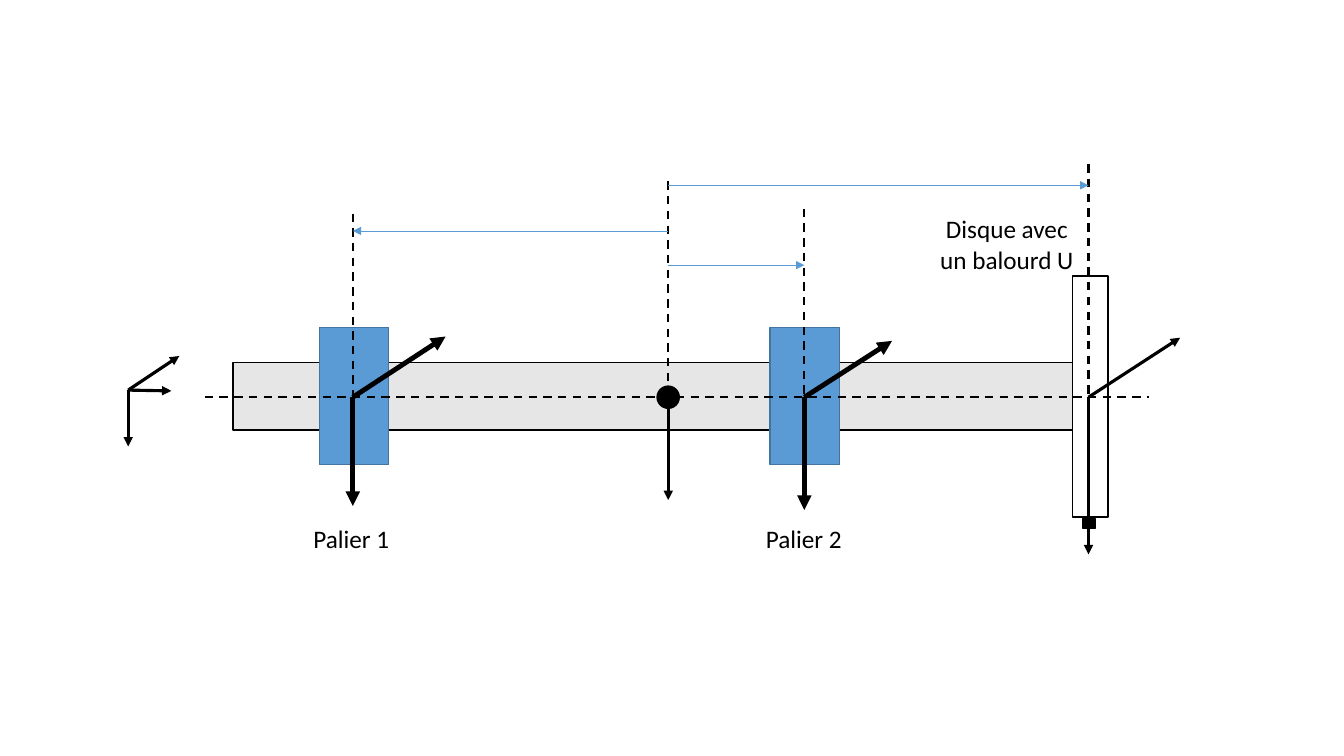
from dataclasses import dataclass

from lxml import etree
from pptx import Presentation
from pptx.dml.color import RGBColor
from pptx.enum import dml, shapes, text
from pptx.oxml.ns import qn
from pptx.util import Cm, Pt


@dataclass(frozen=True)
class Theme:
    black: str = "000000"
    white: str = "FFFFFF"
    shaft: str = "E7E6E6"
    blue: str = "5B9BD5"
    blue_edge: str = "43739E"
    font: str = "Calibri"
    size: float = 18
    outline: float = 1
    dimension: float = 0.5
    guide: float = 1.5
    arrow: float = 2.25
    force: float = 3.5


class Diagram:
    """Draws the elements of a rotor diagram, with lengths in centimetres."""

    def __init__(self, slide, theme):
        self.s = slide
        self.t = theme

    def shape(self, x, y, w, h, fill, edge=None, kind=shapes.MSO_SHAPE.RECTANGLE):
        sp = self.s.shapes.add_shape(kind, Cm(x), Cm(y), Cm(w), Cm(h))
        sp.shadow.inherit = False
        sp.fill.solid()
        sp.fill.fore_color.rgb = RGBColor.from_string(fill)
        sp.line.color.rgb = RGBColor.from_string(edge or self.t.black)
        sp.line.width = Pt(self.t.outline)

    def line(self, start, end, width, color=None):
        cx = self.s.shapes.add_connector(
            shapes.MSO_CONNECTOR.STRAIGHT, *map(Cm, (*start, *end)))
        cx.line.color.rgb = RGBColor.from_string(color or self.t.black)
        cx.line.width = Pt(width)
        etree.SubElement(cx._element.spPr, qn("a:effectLst"))
        return cx

    def arrow(self, start, end, width, color=None):
        cx = self.line(start, end, width, color)
        etree.SubElement(cx.line._get_or_add_ln(), qn("a:tailEnd"), type="triangle")

    def guide(self, start, end):
        self.line(start, end, self.t.guide).line.dash_style = dml.MSO_LINE.DASH

    def label(self, x, y, w, h, words, wrap=False):
        tf = self.s.shapes.add_textbox(Cm(x), Cm(y), Cm(w), Cm(h)).text_frame
        tf.word_wrap = wrap
        tf.auto_size = text.MSO_AUTO_SIZE.SHAPE_TO_FIT_TEXT
        p = tf.paragraphs[0]
        p.text = words
        p.alignment = text.PP_ALIGN.CENTER if wrap else text.PP_ALIGN.LEFT
        p.font.name = self.t.font
        p.font.size = Pt(self.t.size)
        p.font.color.rgb = RGBColor.from_string(self.t.black)


def main():
    prs = Presentation()
    prs.slide_width, prs.slide_height = Cm(33.87), Cm(19.05)
    t = Theme()
    d = Diagram(prs.slides.add_slide(prs.slide_layouts[6]), t)

    axis_y, guide_end = 10.01, 12.75
    bearing_1, centre, bearing_2, disc = 8.89, 16.84, 20.27, 27.43

    origin = (3.23, 9.83)
    for tip in ((4.32, 9.85), (3.23, 11.25), (4.52, 8.97)):
        d.arrow(origin, tip, t.arrow)

    d.shape(5.87, 9.14, 22.02, 1.7, t.shaft)
    for left in (8.05, 19.41):
        d.shape(left, 8.26, 1.75, 3.45, t.blue, t.blue_edge)
    d.shape(27.03, 6.96, 0.89, 6.07, t.white)
    d.shape(27.28, 13.08, 0.33, 0.23, t.black)
    d.guide((5.16, axis_y), (28.96, axis_y))

    for left, words in ((7.65, "Palier 1"), (19.05, "Palier 2")):
        d.label(left, 13.06, 2.44, 1.02, words)
    d.label(23.42, 5.26, 3.91, 1.8, "Disque avec un balourd U", wrap=True)

    for x, tip, bottom, top, width in (
        (bearing_1, (11.23, 8.48), 12.75, 5.38, t.force),
        (bearing_2, (22.48, 8.59), 12.85, 5.26, t.force),
        (disc, (29.74, 8.51), 13.97, 4.14, t.arrow),
    ):
        d.arrow((x, axis_y), tip, width)
        d.arrow((x, axis_y), (x, bottom), width)
        d.guide((x, top), (x, guide_end))

    radius = 0.28
    d.arrow((centre, axis_y), (centre, 12.6), t.arrow)
    d.shape(centre - radius, axis_y - radius, 2 * radius, 2 * radius, t.black,
            kind=shapes.MSO_SHAPE.OVAL)
    d.guide((centre, 4.57), (centre, 10.82))

    for x, y in ((bearing_1, 5.82), (bearing_2, 6.68), (disc, 4.67)):
        d.arrow((centre, y), (x, y), t.dimension, t.blue)

    prs.save("out.pptx")


if __name__ == "__main__":
    main()
